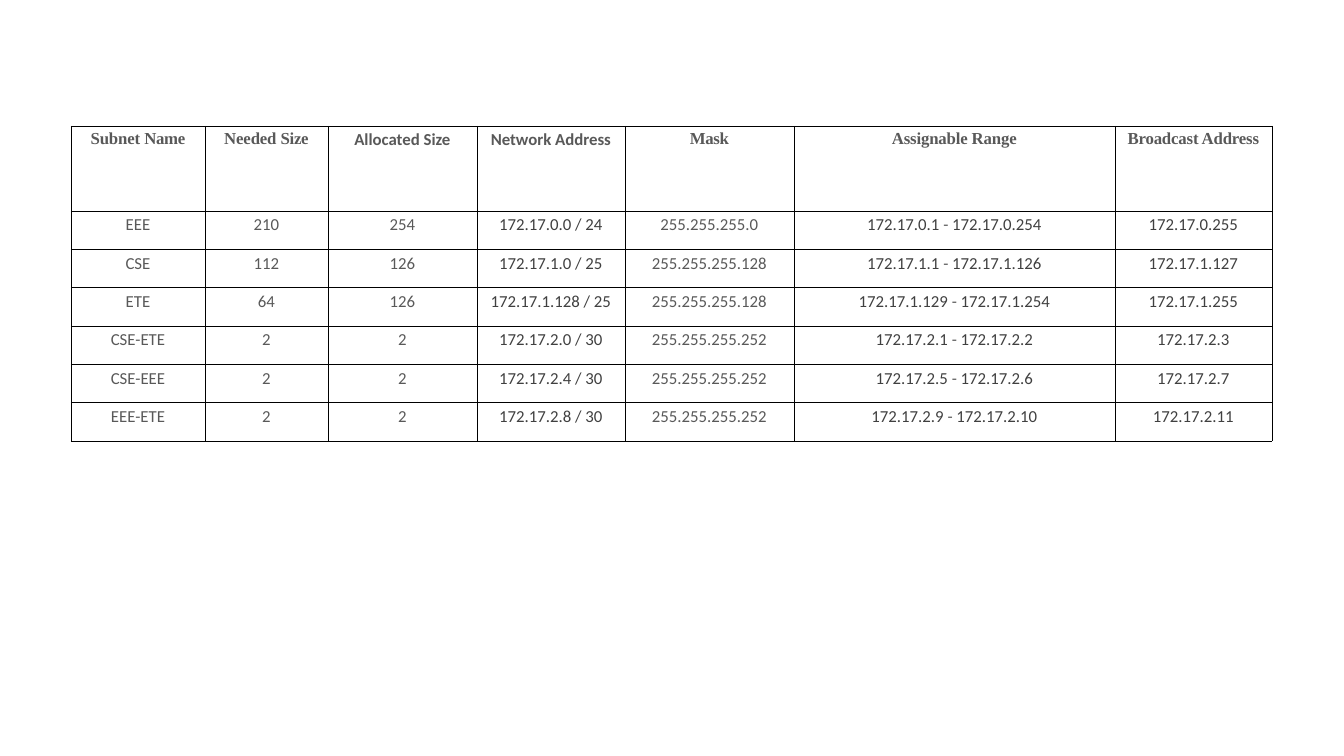
from lxml.etree import SubElement
from pptx import Presentation
from pptx.dml.color import RGBColor
from pptx.enum.text import PP_ALIGN
from pptx.oxml.ns import qn
from pptx.util import Pt

PX = 914400 / 100.8
SERIF, SANS = "Times New Roman", "Calibri"
GREY, DARK = "595959", "404040"
COLUMN_WIDTHS = [134, 123, 149, 148, 169, 321, 157]
HEADER_HEIGHT = 85

# Each heading: its font and its (text, letter spacing in 1/100 pt) runs
HEADINGS = [
    (SERIF, [("Subnet ", -10), ("Name", -20)]),
    (SERIF, [("Needed ", -10), ("Size", -20)]),
    (SANS, [("Allocated Size", 0)]),
    (SANS, [("Network Address", 0)]),
    (SERIF, [("Mask", -20)]),
    (SERIF, [("Assignable Range", -10)]),
    (SERIF, [("Broadcast Address", -10)]),
]
# Name, needed, allocated, network, mask, first and last address, broadcast
SUBNETS = [
    ("EEE", "210", "254", "172.17.0.0 / 24", "255.255.255.0",
     "172.17.0.1", "172.17.0.254", "172.17.0.255"),
    ("CSE", "112", "126", "172.17.1.0 / 25", "255.255.255.128",
     "172.17.1.1", "172.17.1.126", "172.17.1.127"),
    ("ETE", "64", "126", "172.17.1.128 / 25", "255.255.255.128",
     "172.17.1.129", "172.17.1.254", "172.17.1.255"),
    ("CSE-ETE", "2", "2", "172.17.2.0 / 30", "255.255.255.252",
     "172.17.2.1", "172.17.2.2", "172.17.2.3"),
    ("CSE-EEE", "2", "2", "172.17.2.4 / 30", "255.255.255.252",
     "172.17.2.5", "172.17.2.6", "172.17.2.7"),
    ("EEE-ETE", "2", "2", "172.17.2.8 / 30", "255.255.255.252",
     "172.17.2.9", "172.17.2.10", "172.17.2.11"),
]


def px(length):
    return round(length * PX)


def color(value):
    return RGBColor.from_string(value)


def format_cell(cell):
    properties = cell._tc.get_or_add_tcPr()
    for side in ("a:lnL", "a:lnR", "a:lnT", "a:lnB"):
        border = SubElement(properties, qn(side), w=str(Pt(0.25)))
        border_fill = SubElement(border, qn("a:solidFill"))
        SubElement(border_fill, qn("a:srgbClr"), val="000000")
    cell.fill.solid()
    cell.fill.fore_color.rgb = color("FFFFFF")
    cell.margin_left = cell.margin_right = px(8)
    cell.margin_top = cell.margin_bottom = px(4)
    cell.text_frame.paragraphs[0].alignment = PP_ALIGN.CENTER


def add_run(cell, text, ink, typeface=SANS, bold=False, spacing=0):
    run = cell.text_frame.paragraphs[0].add_run()
    run.text = text
    run.font.size = Pt(12)
    run.font.name = typeface
    run.font.bold = bold
    run.font.color.rgb = color(ink)
    if spacing:
        run.font._element.set("spc", str(spacing))


def subnet_runs(subnet):
    """Return, for each column, the (text, colour) runs of one subnet."""
    name, needed, allocated, network, mask, first, last, broadcast = subnet
    return [
        [(name, GREY)], [(needed, GREY)], [(allocated, GREY)],
        [(network, DARK)], [(mask, GREY)],
        [(first + " ", DARK), ("- ", GREY), (last, DARK)],
        [(broadcast, DARK)],
    ]


def add_subnet_table(slide, left, top, width, height):
    frame = slide.shapes.add_table(
        len(SUBNETS) + 1, len(HEADINGS),
        px(left), px(top), px(width), px(height))
    table = frame.table
    table.first_row = table.horz_banding = False
    for column, share in zip(table.columns, COLUMN_WIDTHS):
        column.width = px(width * share / sum(COLUMN_WIDTHS))
    for row in table.rows:
        row.height = px((height - HEADER_HEIGHT) / len(SUBNETS))
    table.rows[0].height = px(HEADER_HEIGHT)
    for cell in table.iter_cells():
        format_cell(cell)

    for cell, (typeface, runs) in zip(table.rows[0].cells, HEADINGS):
        for text, spacing in runs:
            add_run(cell, text, GREY, typeface, True, spacing)
    for row_index, subnet in enumerate(SUBNETS, start=1):
        for cell, runs in zip(table.rows[row_index].cells, subnet_runs(subnet)):
            for text, ink in runs:
                add_run(cell, text, ink)


def main():
    presentation = Presentation()
    presentation.slide_width = px(1344)
    presentation.slide_height = px(756)
    slide = presentation.slides.add_slide(presentation.slide_layouts[6])
    add_subnet_table(slide, 71, 126, 1201, 315)
    presentation.save("out.pptx")


if __name__ == "__main__":
    main()
